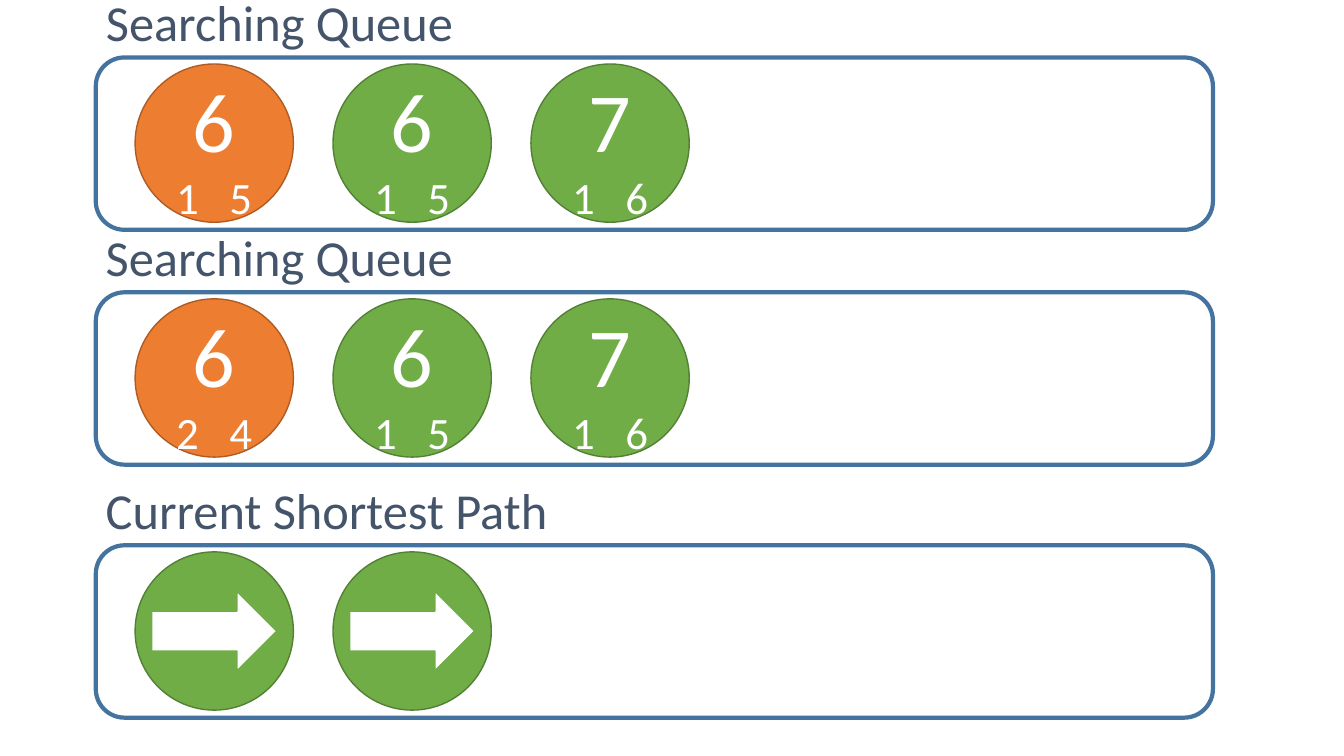
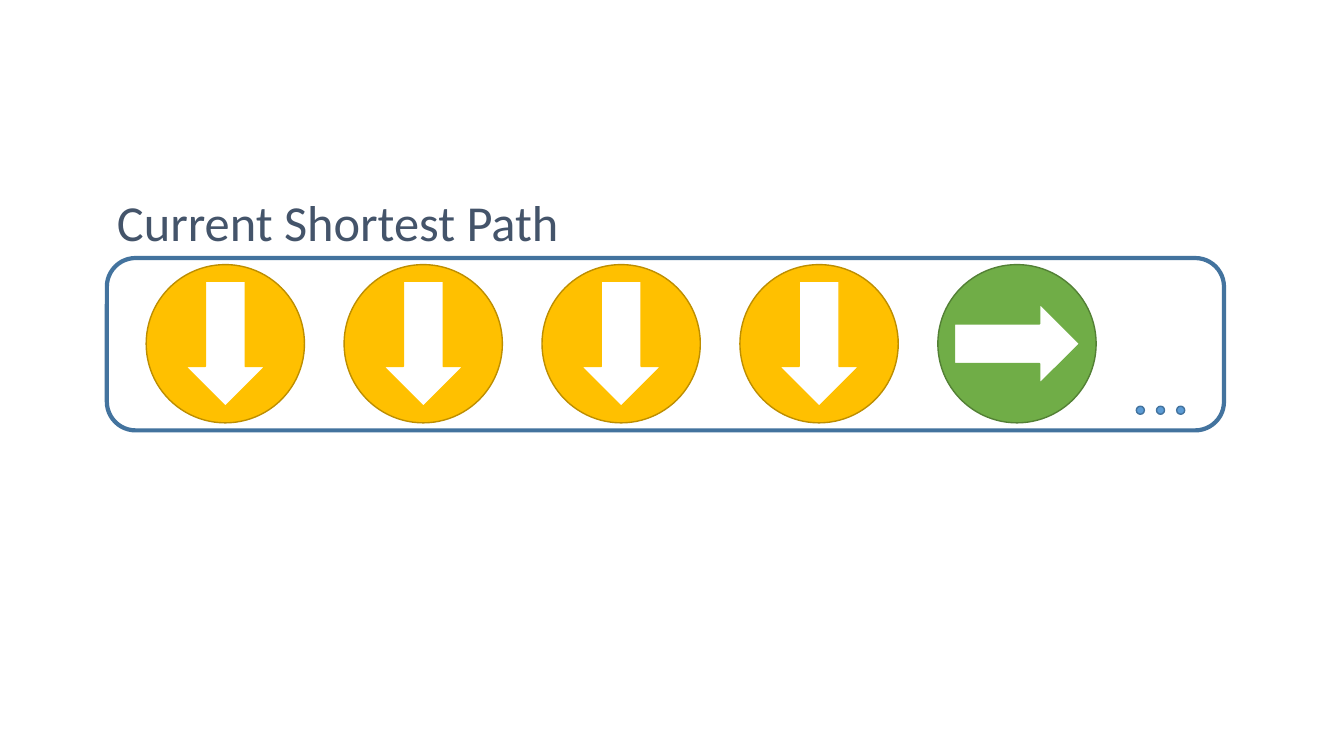
from pptx import Presentation
from pptx.dml.color import RGBColor
from pptx.enum.shapes import MSO_SHAPE as Shape
from pptx.enum.text import MSO_ANCHOR as Anchor, MSO_AUTO_SIZE as AutoSize, PP_ALIGN as Align
from pptx.util import Inches, Pt

WHITE = RGBColor(0xFF, 0xFF, 0xFF)
SLATE = RGBColor(0x44, 0x54, 0x6A)
BLUE = RGBColor(0x5B, 0x9B, 0xD5)
BLUE_EDGE = RGBColor(0x43, 0x73, 0x9E)
ORANGE = RGBColor(0xED, 0x7D, 0x31)
GREEN = RGBColor(0x70, 0xAD, 0x47)
GOLD = RGBColor(0xFF, 0xC0, 0x00)
EDGES = {
    ORANGE: RGBColor(0xAF, 0x5C, 0x24),
    GREEN: RGBColor(0x53, 0x80, 0x35),
    GOLD: RGBColor(0xBD, 0x8E, 0x00),
}

FONT = "Calibri"
PANEL_WIDTH, PANEL_HEIGHT = 11.08, 1.71
CAPTION_HEIGHT = 0.71
CIRCLE = 1.57
CIRCLE_INSET, CIRCLE_DROP = 0.39, 0.065
CIRCLE_PITCH = 1.963
ARROW_WIDTH, ARROW_LENGTH = 0.79, 1.24
DOT, DOT_PITCH = 0.08, 0.2
RIGHT, DOWN = 270, 0


def place(item, left, top, width, height):
    item.left, item.top = Inches(left), Inches(top)
    item.width, item.height = Inches(width), Inches(height)


def add_figure(slide, kind, left, top, width, height, fill, edge, weight=1):
    figure = slide.shapes.add_shape(
        kind, Inches(left), Inches(top), Inches(width), Inches(height))
    figure.shadow.inherit = False
    figure.fill.solid()
    figure.fill.fore_color.rgb = fill
    figure.line.color.rgb = edge
    figure.line.width = Pt(weight)
    return figure


def style_span(span, size, color):
    span.font.name = FONT
    span.font.size = Pt(size)
    span.font.color.rgb = color


def add_caption(slide, text, left, panel_top):
    title = slide.shapes.title
    if title.has_text_frame and title.text_frame.text:
        title = slide.shapes.add_textbox(0, 0, 0, 0)
    place(title, left, panel_top - CAPTION_HEIGHT, 4.72, CAPTION_HEIGHT)
    frame = title.text_frame
    frame.text = text
    frame.word_wrap = True
    frame.auto_size = AutoSize.NONE
    frame.vertical_anchor = Anchor.TOP
    para = frame.paragraphs[0]
    para.alignment = Align.LEFT
    style_span(para.runs[0], 36, SLATE)


def add_panel(slide, caption, left, top):
    add_figure(slide, Shape.ROUNDED_RECTANGLE, left, top,
               PANEL_WIDTH, PANEL_HEIGHT, WHITE, BLUE_EDGE, 3)
    add_caption(slide, caption, left, top)


def add_circle(slide, slot, panel_left, panel_top, color):
    left = panel_left + CIRCLE_INSET + slot * CIRCLE_PITCH
    top = panel_top + CIRCLE_DROP
    add_figure(slide, Shape.OVAL, left, top, CIRCLE, CIRCLE, color, EDGES[color])
    return left, top


def add_cost(slide, left, top, total, parts):
    box = slide.shapes.add_textbox(
        Inches(left), Inches(top), Inches(CIRCLE), Inches(1.65))
    frame = box.text_frame
    frame.word_wrap = True
    para = frame.paragraphs[0]
    para.text = total
    para.alignment = Align.CENTER
    style_span(para.runs[0], 60, WHITE)

    pair = frame.add_paragraph()
    pair.alignment = Align.CENTER
    for text in (parts[0], " ", parts[1]):
        span = pair.add_run()
        span.text = text
        style_span(span, 32, WHITE)
    pair.runs[1].font._element.set("spc", "1450")


def add_arrow(slide, left, top, direction, color):
    arrow = add_figure(
        slide, Shape.DOWN_ARROW,
        left + (CIRCLE - ARROW_WIDTH) / 2, top + (CIRCLE - ARROW_LENGTH) / 2,
        ARROW_WIDTH, ARROW_LENGTH, WHITE, color)
    arrow.rotation = direction


def add_queue(slide, left, top, nodes):
    add_panel(slide, "Searching Queue", left, top)
    for slot, (color, total, parts) in enumerate(nodes):
        corner = add_circle(slide, slot, left, top, color)
        add_cost(slide, *corner, total, parts)


def add_route(slide, left, top, steps):
    add_panel(slide, "Current Shortest Path", left, top)
    for slot, (color, direction) in enumerate(steps):
        corner = add_circle(slide, slot, left, top, color)
        add_arrow(slide, *corner, direction, color)


def add_ellipsis(slide, left, top):
    for index in range(3):
        add_figure(slide, Shape.OVAL, left + index * DOT_PITCH, top,
                   DOT, DOT, BLUE, BLUE_EDGE)


def add_slide(deck):
    return deck.slides.add_slide(deck.slide_layouts.get_by_name("Title Only"))


def main():
    deck = Presentation()
    deck.slide_width, deck.slide_height = Inches(13.33), Inches(7.5)

    waiting = [(GREEN, "6", "15"), (GREEN, "7", "16")]
    queues = add_slide(deck)
    add_queue(queues, 0.95, 0.57, [(ORANGE, "6", "15")] + waiting)
    add_queue(queues, 0.95, 2.9, [(ORANGE, "6", "24")] + waiting)
    add_route(queues, 0.95, 5.41, [(GREEN, RIGHT)] * 2)

    route = add_slide(deck)
    add_route(route, 1.06, 2.56, [(GOLD, DOWN)] * 4 + [(GREEN, RIGHT)])
    add_ellipsis(route, 11.27, 4.03)

    deck.save("out.pptx")


main()
